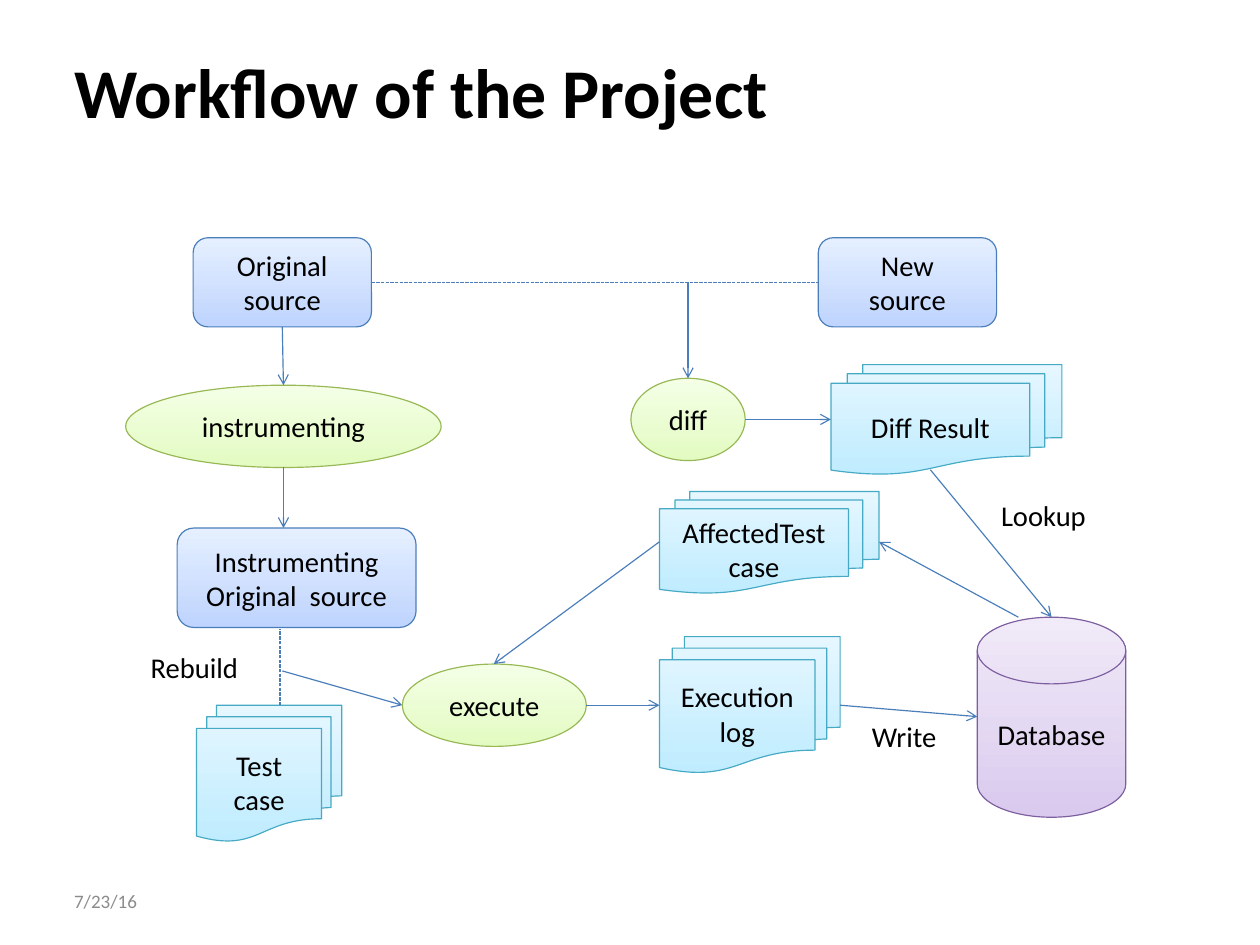
from dataclasses import dataclass

from lxml.etree import SubElement as Sub
from pptx import Presentation
from pptx.dml.color import RGBColor as Rgb
from pptx.enum.dml import MSO_LINE as Dash
from pptx.enum.shapes import MSO_CONNECTOR as Conn, MSO_SHAPE as Kind
from pptx.enum.text import MSO_ANCHOR as Anchor, PP_ALIGN as Align
from pptx.oxml.ns import qn
from pptx.util import Cm, Inches, Pt

CELL = Inches(0.1)
WIDE, HIGH = Cm(28), Cm(21)
BOTTOM = 2
LEFT, RIGHT = 1, 3


@dataclass(frozen=True)
class Theme:
    """Colours, type sizes and node styles of the slide."""
    font: str = "Calibri"
    head: int = 44
    body: int = 18
    small: int = 12
    ink: str = "000000"
    grey: str = "8B8B8B"
    edge: str = "4A7EBB"
    rule: float = 0.75
    source: tuple = (Kind.ROUNDED_RECTANGLE, "BFD4FE", "E5EFFF", "4A7EBB")
    step: tuple = (Kind.OVAL, "E3FBC2", "F4FFE6", "98B855")
    files: tuple = (Kind.FLOWCHART_MULTIDOCUMENT, "BFECFF", "E6F7FF", "46AAC4")
    store: tuple = (Kind.FLOWCHART_MAGNETIC_DISK, "D9CAEE", "F1EAF8", "7D5FA0")


THEME = Theme()


def apply(item, vals):
    """Set each attribute named in vals on item."""
    for name, val in vals.items():
        setattr(item, name, val)


def write(frame, text, size=THEME.body, tint=THEME.ink, bold=False,
          align=Align.LEFT, anchor=Anchor.MIDDLE):
    """Fill a text frame and format its paragraphs."""
    frame.text = text
    apply(frame, {"word_wrap": True, "vertical_anchor": anchor})
    for par in frame.paragraphs:
        par.alignment = align
        for run in par.runs:
            apply(run.font, {"name": THEME.font, "size": Pt(size), "bold": bold})
            run.font.color.rgb = Rgb.from_string(tint)


def stroke(line, tint):
    """Give a line its colour and width."""
    line.color.rgb = Rgb.from_string(tint)
    line.width = Pt(THEME.rule)


@dataclass
class Pane:
    """A box on the grid in which parts are placed."""
    slide: object
    x: float
    y: float
    w: float
    h: float

    def spot(self, x, y):
        """Turn a cell of the pane into a place on the slide."""
        return round((self.x + x) * CELL), round((self.y + y) * CELL)

    def frame(self, x, y, w, h):
        """Turn a cell range of the pane into left, top, width, height."""
        return *self.spot(x, y), round(w * CELL), round(h * CELL)

    def node(self, style, text, *box):
        """Draw one graded shape with centred text."""
        kind, low, high, edge = style
        node = self.slide.shapes.add_shape(kind, *self.frame(*box))
        node.shadow.inherit = False
        node.fill.gradient()
        node.fill.gradient_angle = 90
        for stop, tint in zip(node.fill.gradient_stops, (low, high)):
            stop.color.rgb = Rgb.from_string(tint)
        stroke(node.line, edge)
        write(node.text_frame, text, align=Align.CENTER)
        return node

    def label(self, text, *box, **form):
        """Place a plain text box."""
        note = self.slide.shapes.add_textbox(*self.frame(*box))
        write(note.text_frame, text, **{"anchor": Anchor.TOP, **form})

    def link(self, start, end, dashed=False, tail=None, head=None):
        """Draw an arrow or a dashed line, joined to tail and head if given."""
        line = self.slide.shapes.add_connector(
            Conn.STRAIGHT, *self.spot(*start), *self.spot(*end))
        stroke(line.line, THEME.edge)
        props = line.line._get_or_add_ln()
        if dashed:
            line.line.dash_style = Dash.SQUARE_DOT
        else:
            Sub(props, qn("a:tailEnd"), type="arrow")
        Sub(props.getparent(), qn("a:effectLst"))
        if tail:
            line.begin_connect(*tail)
        if head:
            line.end_connect(*head)


def banner(pane):
    """Move the title into the pane and format it."""
    title = pane.slide.shapes.title
    names = ("left", "top", "width", "height")
    apply(title, dict(zip(names, pane.frame(0, 0, pane.w, pane.h))))
    write(title.text_frame, "Workflow of the Project", THEME.head, bold=True)


def prepare(pane):
    """Draw the lane that instruments the original source."""
    mid = pane.w / 2
    first = pane.node(THEME.source, "Original source", 5.9, 0, 15.6, 7.8)
    pane.node(THEME.step, "instrumenting", 0, 12.9, pane.w, 7.2)
    pane.node(THEME.source, "Instrumenting\nOriginal  source",
              4.5, 25.4, 20.9, 8.7)
    pane.node(THEME.files, "Test case", 6.2, 40.9, 12.7, 11.9)
    pane.label("Rebuild", 1.2, 35.6, 11.3, 4)
    pane.link((mid, 7.8), (mid, 12.9), tail=(first, BOTTOM))
    pane.link((mid, 20.1), (mid, 25.4))
    pane.link((13.5, 40.9), (13.5, 34.2), dashed=True)
    pane.link((13.7, 37.9), (24.2, 40.9))
    return first


def compare(pane, first):
    """Draw the lane that compares the new source with the first one."""
    fresh = pane.node(THEME.source, "New\nsource", 16.4, 0, 15.6, 7.8)
    pane.node(THEME.step, "diff", 0, 12.3, 10, 7.2)
    pane.node(THEME.files, "Diff Result", 17.5, 11.1, 20.2, 9.6)
    pane.link((0, 3.9), (16.4, 3.9), dashed=True,
              tail=(first, RIGHT), head=(fresh, LEFT))
    pane.link((5, 3.9), (5, 12.3))
    pane.link((10, 15.9), (17.5, 15.9))


def test(pane):
    """Draw the lane that runs the tests and keeps the log."""
    pane.node(THEME.step, "execute", 0, 15.1, 16.1, 7.2)
    pane.node(THEME.files, "AffectedTest case", 22.5, 0, 19.2, 8.9)
    pane.node(THEME.files, "Execution log", 22.5, 12.7, 15.8, 11.9)
    pane.node(THEME.store, "Database", 50.3, 11, 13, 17.5)
    pane.label("Write", 40.1, 19.4, 8.6, 4)
    pane.label("Lookup", 51.4, 0.1, 20.4, 4)
    for start, end in (
        ((16.1, 18.7), (22.5, 18.7)),
        ((38.3, 18.7), (50.3, 19.7)),
        ((46.2, -1.9), (56.8, 11)),
        ((53.9, 11), (41.7, 4.4)),
        ((22.5, 4.4), (8, 15.1)),
    ):
        pane.link(start, end)


def footer(pane):
    """Write the date."""
    pane.label("7/23/16", 0, 0, pane.w, pane.h, size=THEME.small,
               tint=THEME.grey, anchor=Anchor.MIDDLE)


def main():
    """Build the slide and save it."""
    deck = Presentation()
    apply(deck, {"slide_width": WIDE, "slide_height": HIGH})
    slide = deck.slides.add_slide(deck.slide_layouts[5])
    banner(Pane(slide, 5.5, 3.3, 99.2, 9.3))
    first = prepare(Pane(slide, 11, 20.8, 27.6, 52.8))
    compare(Pane(slide, 55.2, 20.8, 37.7, 20.7), first)
    test(Pane(slide, 35.2, 43, 71.8, 28.5))
    footer(Pane(slide, 5.5, 76.6, 25.7, 4.4))
    deck.save("out.pptx")


if __name__ == "__main__":
    main()
